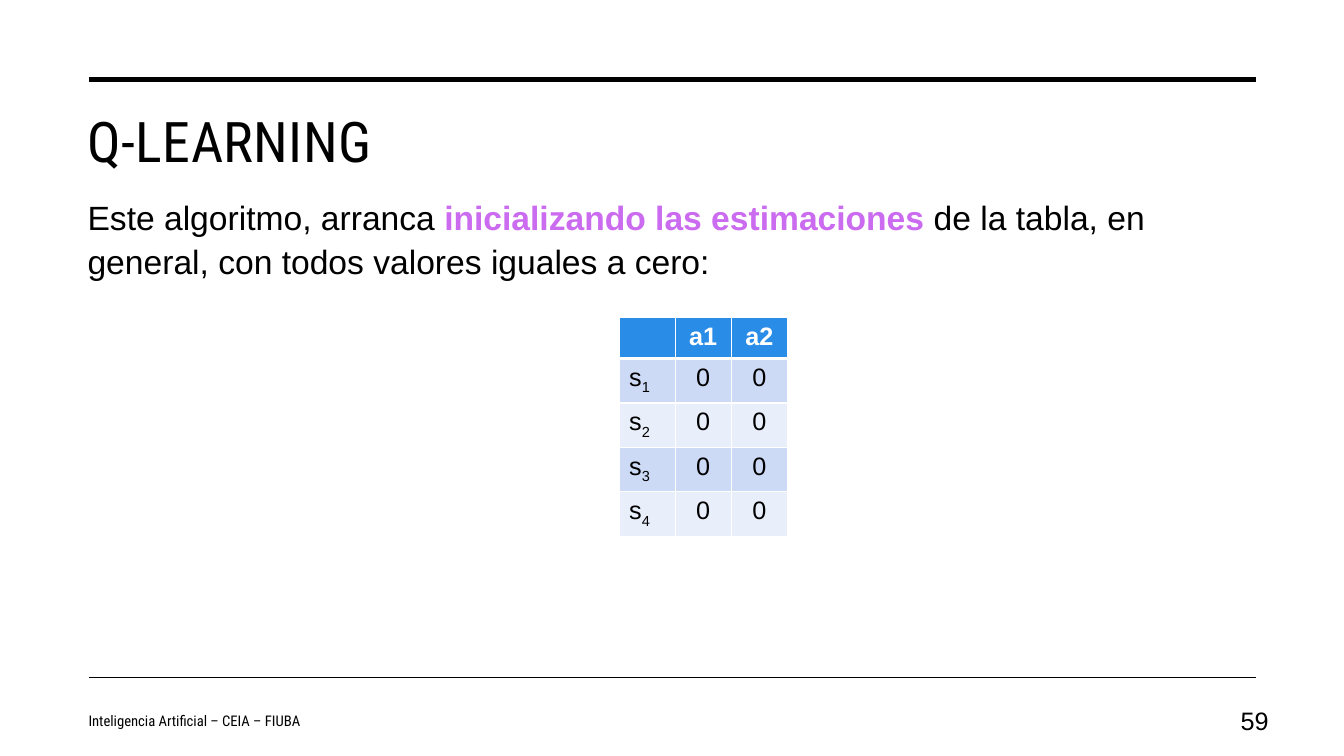
from dataclasses import dataclass, field
from typing import Any

from lxml import etree
from pptx import Presentation
from pptx import util as u
from pptx.dml.color import RGBColor
from pptx.enum import shapes, text
from pptx.oxml import ns

COLORS = {
    "ink": "000000",
    "white": "FFFFFF",
    "accent": "CB6BEF",
    "header": "298CE7",
    "odd_row": "CDDAF6",
    "even_row": "E8EEFA",
}
ARIAL = "Arial"
CONDENSED = "Roboto Condensed"
STATES = 4
ACTIONS = ("a1", "a2")
LEFT, RIGHT = 0.88, 12.46


@dataclass
class Run:
    words: str
    size: float = 18
    font: str = ARIAL
    color: str = "ink"
    bold: bool = False
    attributes: dict[str, str] = field(default_factory=dict)


@dataclass
class TextBlock:
    box: tuple[float, float, float, float]
    runs: list[Run]
    anchor: Any = text.MSO_ANCHOR.TOP
    paragraph_format: dict[str, Any] = field(default_factory=dict)


@dataclass
class Rule:
    height: float
    width: float


RULES = [Rule(0.79, 3.5), Rule(6.72, 1)]
TEXT_BLOCKS = [
    TextBlock(
        (0.77, 1.01, 11.69, 1.02),
        [Run("Q-LEARNING", 40, CONDENSED, attributes={"spc": "30"})],
    ),
    TextBlock(
        (0.77, 1.86, 11.69, 4.79),
        [
            Run("Este algoritmo, arranca ", 24),
            Run("inicializando las estimaciones ", 24, color="accent", bold=True),
            Run("de la tabla, en general, con todos valores iguales a cero:", 24),
        ],
        paragraph_format={"line_spacing": 1.1},
    ),
    TextBlock(
        (0.78, 6.95, 4.96, 0.4),
        [Run("Inteligencia Artificial – CEIA – FIUBA", 10.5, CONDENSED)],
        text.MSO_ANCHOR.MIDDLE,
        {"space_after": u.Pt(6)},
    ),
    TextBlock(
        (11.94, 6.95, 0.74, 0.4),
        [Run("59")],
        text.MSO_ANCHOR.MIDDLE,
        {"alignment": text.PP_ALIGN.RIGHT},
    ),
]


def rgb(name: str) -> RGBColor:
    return RGBColor.from_string(COLORS[name])


def apply_format(target: Any, values: dict[str, Any]) -> None:
    for name, value in values.items():
        setattr(target, name, value)


def add_runs(paragraph: Any, runs: list[Run]) -> None:
    for item in runs:
        run = paragraph.add_run()
        run.text = item.words
        apply_format(
            run.font,
            {"size": u.Pt(item.size), "name": item.font, "bold": item.bold},
        )
        run.font.color.rgb = rgb(item.color)
        for name, value in item.attributes.items():
            run.font._element.set(name, value)


def add_rule(slide: Any, rule: Rule) -> None:
    height = u.Inches(rule.height)
    connector = slide.shapes.add_connector(
        shapes.MSO_CONNECTOR.STRAIGHT,
        u.Inches(LEFT), height, u.Inches(RIGHT), height,
    )
    connector.line.width = u.Pt(rule.width)
    connector.line.color.rgb = rgb("ink")
    etree.SubElement(connector._element.spPr, ns.qn("a:effectLst"))


def add_text(slide: Any, block: TextBlock) -> None:
    shape = slide.shapes.add_textbox(*map(u.Inches, block.box))
    frame = shape.text_frame
    apply_format(frame, {"word_wrap": True, "vertical_anchor": block.anchor})
    paragraph = frame.paragraphs[0]
    apply_format(paragraph, block.paragraph_format)
    add_runs(paragraph, block.runs)


def set_borders(cell: Any, widths: dict[str, float]) -> None:
    properties = cell._tc.get_or_add_tcPr()
    for position, (side, width) in enumerate(widths.items()):
        border = etree.Element(ns.qn(f"a:ln{side}"), w=str(u.Pt(width)))
        fill = etree.SubElement(border, ns.qn("a:solidFill"))
        etree.SubElement(fill, ns.qn("a:srgbClr"), val=COLORS["white"])
        properties.insert(position, border)


def cell_runs(row: int, column: int) -> list[Run]:
    if row == 0:
        if column == 0:
            return []
        return [Run(ACTIONS[column - 1], color="white", bold=True)]
    if column == 0:
        return [Run("s"), Run(str(row), attributes={"baseline": "-25000"})]
    return [Run("0")]


def row_color(row: int) -> str:
    if row == 0:
        return "header"
    return "odd_row" if row % 2 else "even_row"


def add_estimates_table(slide: Any) -> None:
    table = slide.shapes.add_table(
        STATES + 1, len(ACTIONS) + 1,
        *map(u.Inches, (6.14, 3.15, 1.67, 2.03)),
    ).table
    for row in range(STATES + 1):
        for column in range(len(ACTIONS) + 1):
            cell = table.cell(row, column)
            cell.fill.solid()
            cell.fill.fore_color.rgb = rgb(row_color(row))
            set_borders(cell, {
                "L": 1,
                "R": 1,
                "T": 3 if row == 1 else 1,
                "B": 3 if row == 0 else 1,
            })
            paragraph = cell.text_frame.paragraphs[0]
            if column:
                paragraph.alignment = text.PP_ALIGN.CENTER
            add_runs(paragraph, cell_runs(row, column))


def main() -> None:
    presentation = Presentation()
    presentation.slide_width = u.Inches(13.33)
    presentation.slide_height = u.Inches(7.5)
    slide = presentation.slides.add_slide(presentation.slide_layouts[6])
    for rule in RULES:
        add_rule(slide, rule)
    for block in TEXT_BLOCKS:
        add_text(slide, block)
    add_estimates_table(slide)
    presentation.save("out.pptx")


if __name__ == "__main__":
    main()
